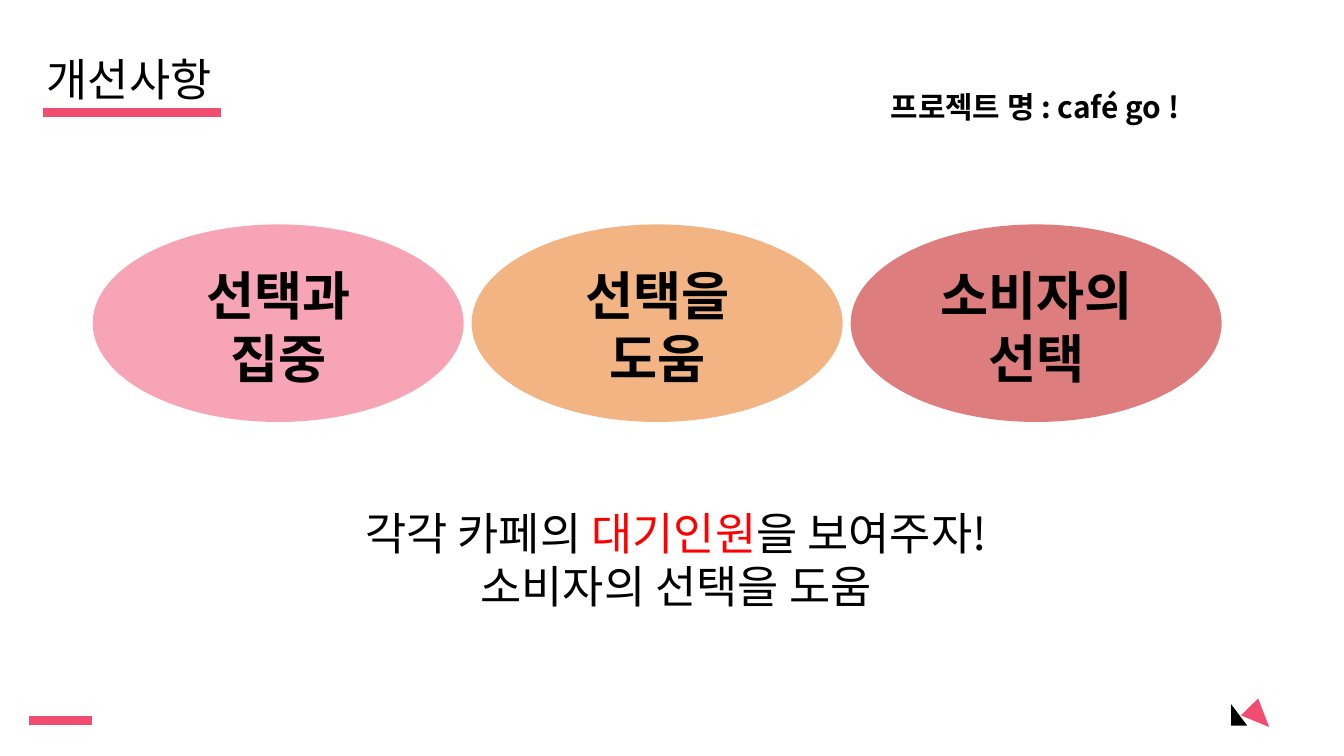
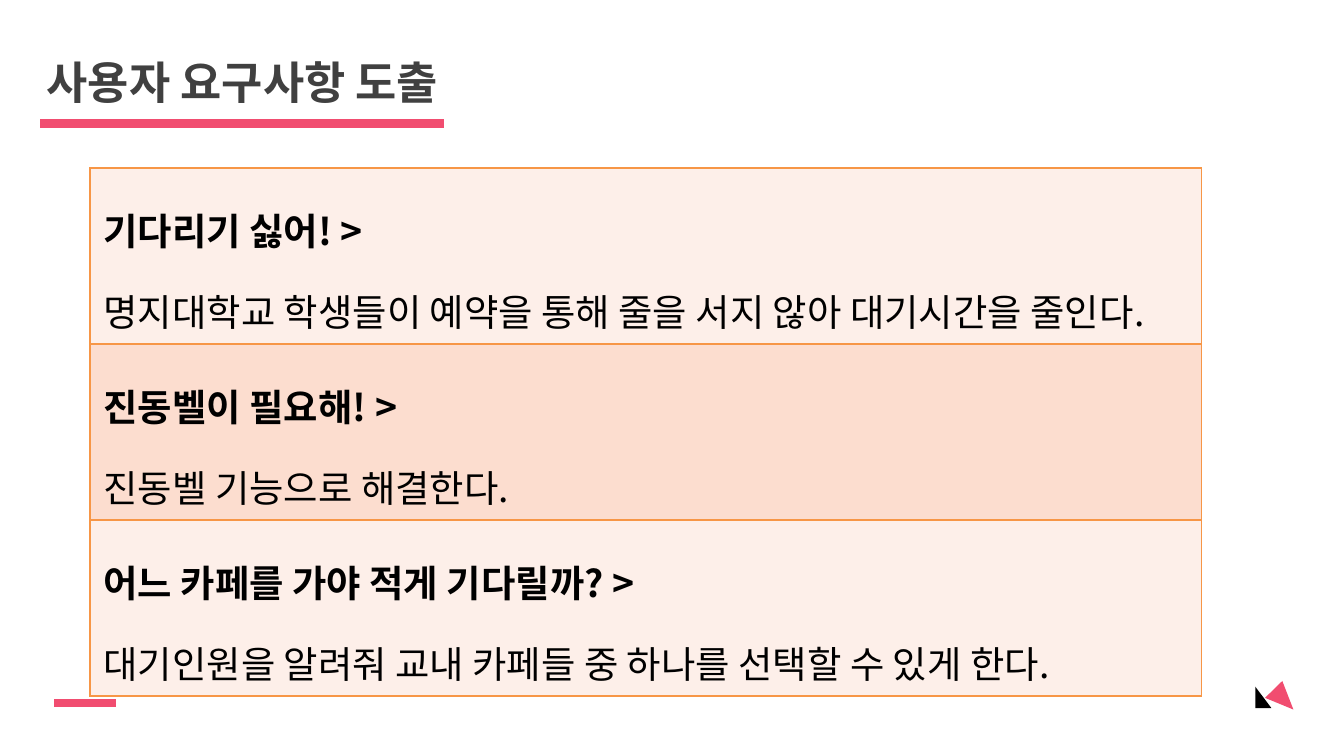
from lxml import etree
from pptx import Presentation
from pptx.dml.color import RGBColor
from pptx.enum.shapes import MSO_CONNECTOR, MSO_SHAPE
from pptx.enum.text import MSO_ANCHOR, PP_ALIGN
from pptx.oxml.ns import qn
from pptx.util import Inches, Pt

OVAL = MSO_SHAPE.OVAL
RIGHT_TRI = MSO_SHAPE.RIGHT_TRIANGLE
TRI = MSO_SHAPE.ISOSCELES_TRIANGLE
STRAIGHT = MSO_CONNECTOR.STRAIGHT
MIDDLE = MSO_ANCHOR.MIDDLE
LEFT, CENTER = PP_ALIGN.LEFT, PP_ALIGN.CENTER

FACE = "Noto Sans CJK KR"
PLAIN = "{2D5ABB26-0587-4C30-8999-92F81FD0307C}"  # table style without grid
HUES = {
    "black": "000000", "gray": "404040", "pink": "F14D70",
    "orange": "E46C0A", "wine": "C00000", "red": "FF0000",
    "edge": "F79646", "pale": "FDEFE9", "peach": "FCDDCF",
}

GOALS = [
    ("pink", ["선택과", "집중"]),
    ("orange", ["선택을", "도움"]),
    ("wine", ["소비자의", "선택"]),
]
NEEDS = [
    ("기다리기 싫어! >",
     "명지대학교 학생들이 예약을 통해 줄을 서지 않아 대기시간을 줄인다."),
    ("진동벨이 필요해! >", "진동벨 기능으로 해결한다."),
    ("어느 카페를 가야 적게 기다릴까? >",
     "대기인원을 알려줘 교내 카페들 중 하나를 선택할 수 있게 한다."),
]


def rgb(hue):
    return RGBColor.from_string(HUES[hue])


def style(para, size, hue="black", bold=False, align=LEFT):
    para.alignment = align
    font = para.font
    font.name, font.size, font.bold = FACE, Pt(size), bold
    font.color.rgb = rgb(hue)
    props = para._p.pPr.find(qn("a:defRPr"))
    props.set("kern", "0")
    etree.SubElement(props, qn("a:ea"), typeface=FACE)


def write(frame, lines, size, **look):
    """Fill a frame; a line is a list of (text, hue) runs or a string."""
    frame.word_wrap = True
    for i, line in enumerate(lines):
        para = frame.add_paragraph() if i else frame.paragraphs[0]
        style(para, size, **look)
        for text, hue in [(line, None)] if isinstance(line, str) else line:
            run = para.add_run()
            run.text = text
            if hue:
                run.font.color.rgb = rgb(hue)


def label(slide, box, lines, size, **look):
    frame = slide.shapes.add_textbox(*map(Inches, box)).text_frame
    write(frame, lines, size, **look)
    return frame


def shape(slide, kind, box, hue):
    item = slide.shapes.add_shape(kind, *map(Inches, box))
    item.shadow.inherit = False
    item.fill.solid()
    item.fill.fore_color.rgb = rgb(hue)
    item.line.fill.background()
    return item


def rule(slide, x, y, width, weight):
    """Draw a horizontal pink bar with square ends."""
    bar = slide.shapes.add_connector(
        STRAIGHT, Inches(x), Inches(y), Inches(x + width), Inches(y))
    bar.line.color.rgb = rgb("pink")
    bar.line.width = Pt(weight)
    bar.line._get_or_add_ln().set("cap", "sq")
    etree.SubElement(bar._element.spPr, qn("a:effectLst"))


def title(slide, text, top, bar, **look):
    frame = label(slide, (0.25, top, 9, 1.25), [text], 24, **look)
    frame.vertical_anchor = MIDDLE
    rule(slide, *bar, 4.75)


def foot(slide, x, y):
    """Place the short bar at x, y and the two triangles across from it."""
    rule(slide, x, y, 0.4, 4.5)
    left, top = x + 8.91, y - 0.12
    shape(slide, RIGHT_TRI, (left, top, 0.12, 0.16), "black")
    tip = shape(slide, TRI, (left + 0.12, top - 0.01, 0.18, 0.21), "pink")
    tip.rotation = 135.6


def ovals(slide, x, y, width, height, step):
    for i, (hue, lines) in enumerate(GOALS):
        oval = shape(slide, OVAL, (x + i * step, y, width, height), hue)
        color = oval.fill._xPr.find(".//" + qn("a:srgbClr"))
        etree.SubElement(color, qn("a:alpha"), val="51000")
        frame = oval.text_frame
        frame.vertical_anchor = MIDDLE
        frame.margin_top, frame.margin_bottom = Inches(0.05), 0
        write(frame, lines, 28, bold=True, align=CENTER)


def border(cell):
    props = cell._tc.get_or_add_tcPr()
    for side in "LRTB":
        line = etree.SubElement(props, qn("a:ln" + side), w=str(Pt(1)))
        fill = etree.SubElement(line, qn("a:solidFill"))
        etree.SubElement(fill, qn("a:srgbClr"), val=HUES["edge"])


def needs(slide, box):
    table = slide.shapes.add_table(len(NEEDS), 1, *map(Inches, box)).table
    table.first_row = table.horz_banding = False
    table._tbl.tblPr.find(qn("a:tableStyleId")).text = PLAIN
    for i, pair in enumerate(NEEDS):
        cell = table.cell(i, 0)
        border(cell)
        cell.fill.solid()
        cell.fill.fore_color.rgb = rgb("peach" if i % 2 else "pale")
        write(cell.text_frame, pair, 20)
        for para in cell.text_frame.paragraphs:
            para.line_spacing = 1.5
        cell.text_frame.paragraphs[0].font.bold = True


def improve(slide):
    title(slide, "개선사항", -0.04, (0.35, 0.84, 1.26))
    label(slide, (6.53, 0.61, 3.4, 0.35), ["프로젝트 명 : café go !"], 16,
          bold=True)
    foot(slide, 0.25, 5.36)
    ovals(slide, 0.69, 1.67, 2.76, 1.47, 2.82)
    label(slide, (1.39, 3.71, 7.28, 0.91), [
        [("각각 카페의 ", None), ("대기인원", "red"), ("을 보여주자!", None)],
        "소비자의 선택을 도움",
    ], 24, align=CENTER)


def demand(slide):
    title(slide, "사용자 요구사항 도출", -0.02, (0.33, 0.92, 2.94),
          hue="gray", bold=True)
    needs(slide, (0.67, 1.25, 8.27, 3.93))
    foot(slide, 0.43, 5.23)


def main():
    deck = Presentation()
    deck.slide_width, deck.slide_height = Inches(10), Inches(10 * 9 / 16)
    for build in (improve, demand):
        build(deck.slides.add_slide(deck.slide_layouts[6]))
    deck.save("out.pptx")


if __name__ == "__main__":
    main()
